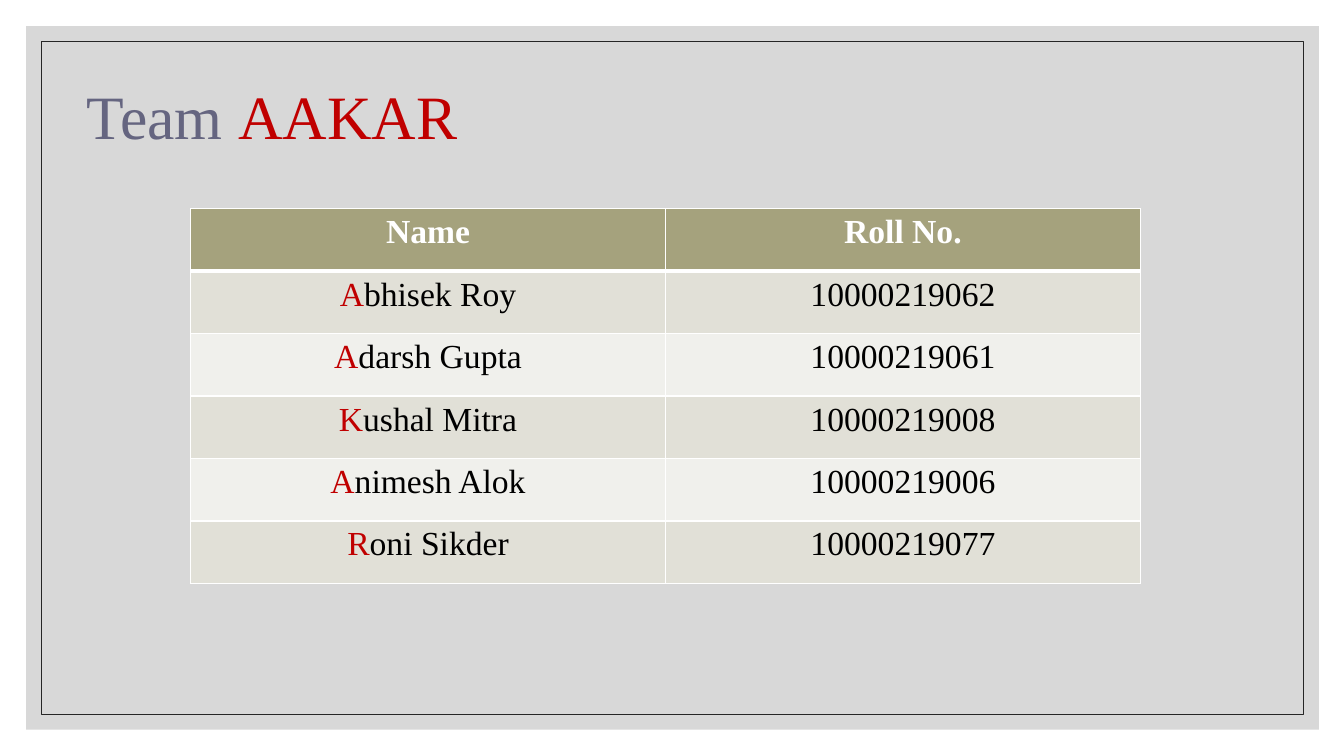
from lxml import etree
from pptx import Presentation
from pptx.dml.color import RGBColor as RGB
from pptx.enum.shapes import MSO_SHAPE as SHAPE
from pptx.enum.text import MSO_AUTO_SIZE as AUTO, PP_ALIGN as ALIGN
from pptx.oxml.ns import qn
from pptx.util import Pt

PX = 9144  # 100 px to the inch
THEME = {
    "font": "Times New Roman",
    "title_size": 44, "cell_size": 24,
    "panel": "BFBFBF", "frame": "262626",
    "title": "656580", "accent": "C00000",
    "header": "A5A27D", "bands": ("E1E0D7", "F0F0EC"),
    "light": "FFFFFF", "dark": "000000",
}


def add_run(paragraph, text, color, size, bold=False):
    run = paragraph.add_run()
    run.text = text
    font_format = {"name": THEME["font"], "size": Pt(size), "bold": bold}
    for key, value in font_format.items():
        setattr(run.font, key, value)
    run.font.color.rgb = RGB.from_string(color)


def add_border(cell, side, points):
    # Borders must precede the cell fill, so this runs before the fill is set
    edge = etree.SubElement(cell._tc.get_or_add_tcPr(), qn(f"a:{side}"),
                            w=str(Pt(points)))
    solid = etree.SubElement(edge, qn("a:solidFill"))
    etree.SubElement(solid, qn("a:srgbClr"), val=THEME["light"])


prs = Presentation()
prs.slide_width, prs.slide_height = 1333 * PX, 750 * PX
slide = prs.slides.add_slide(prs.slide_layouts[6])
shapes = slide.shapes

# Translucent panel
panel = shapes.add_shape(SHAPE.RECTANGLE, 26 * PX, 26 * PX, 1282 * PX, 698 * PX)
panel.shadow.inherit = False
panel.fill.solid()
panel.fill.fore_color.rgb = RGB.from_string(THEME["panel"])
panel.line.fill.background()
panel_color = panel._element.spPr.find(qn("a:solidFill")).find(qn("a:srgbClr"))
etree.SubElement(panel_color, qn("a:alpha"), val="60000")

# Thin frame
frame = shapes.add_shape(SHAPE.RECTANGLE, 41 * PX, 41 * PX, 1252 * PX, 668 * PX)
frame.shadow.inherit = False
frame.fill.background()
frame.line.color.rgb = RGB.from_string(THEME["frame"])
frame.line.width = Pt(0.5)

# Title
title = shapes.add_textbox(62 * PX, 64 * PX, 667 * PX, 84 * PX).text_frame
title_format = {"word_wrap": True, "auto_size": AUTO.SHAPE_TO_FIT_TEXT,
                "margin_top": 13 * PX, "margin_bottom": 0}
for key, value in title_format.items():
    setattr(title, key, value)
for text, color in ((" Team ", "title"), ("AAKAR", "accent")):
    add_run(title.paragraphs[0], text, THEME[color], THEME["title_size"])

# Team table
members = [
    ("Name", "Roll No."),
    ("Abhisek Roy", "10000219062"),
    ("Adarsh Gupta", "10000219061"),
    ("Kushal Mitra", "10000219008"),
    ("Animesh Alok", "10000219006"),
    ("Roni Sikder", "10000219077"),
]
COLUMN, ROW = 471, 62
team = shapes.add_table(len(members), 2, 189 * PX, 207 * PX,
                        2 * COLUMN * PX, len(members) * ROW * PX).table

for r, member in enumerate(members):
    is_header = r == 0
    fill = THEME["header"] if is_header else THEME["bands"][(r - 1) % 2]
    ink = THEME["light"] if is_header else THEME["dark"]
    for c, text in enumerate(member):
        cell = team.cell(r, c)
        # A heavier rule separates the header from the members
        borders = {"lnL": 1, "lnR": 1, "lnT": 3 if r == 1 else 1,
                   "lnB": 3 if is_header else 1}
        for side, points in borders.items():
            add_border(cell, side, points)
        cell.fill.solid()
        cell.fill.fore_color.rgb = RGB.from_string(fill)

        # Initials of the names spell the team name
        paragraph = cell.text_frame.paragraphs[0]
        paragraph.alignment = ALIGN.CENTER
        if c == 0 and not is_header:
            add_run(paragraph, text[0], THEME["accent"], THEME["cell_size"])
            text = text[1:]
        add_run(paragraph, text, ink, THEME["cell_size"], is_header)

prs.save("out.pptx")
